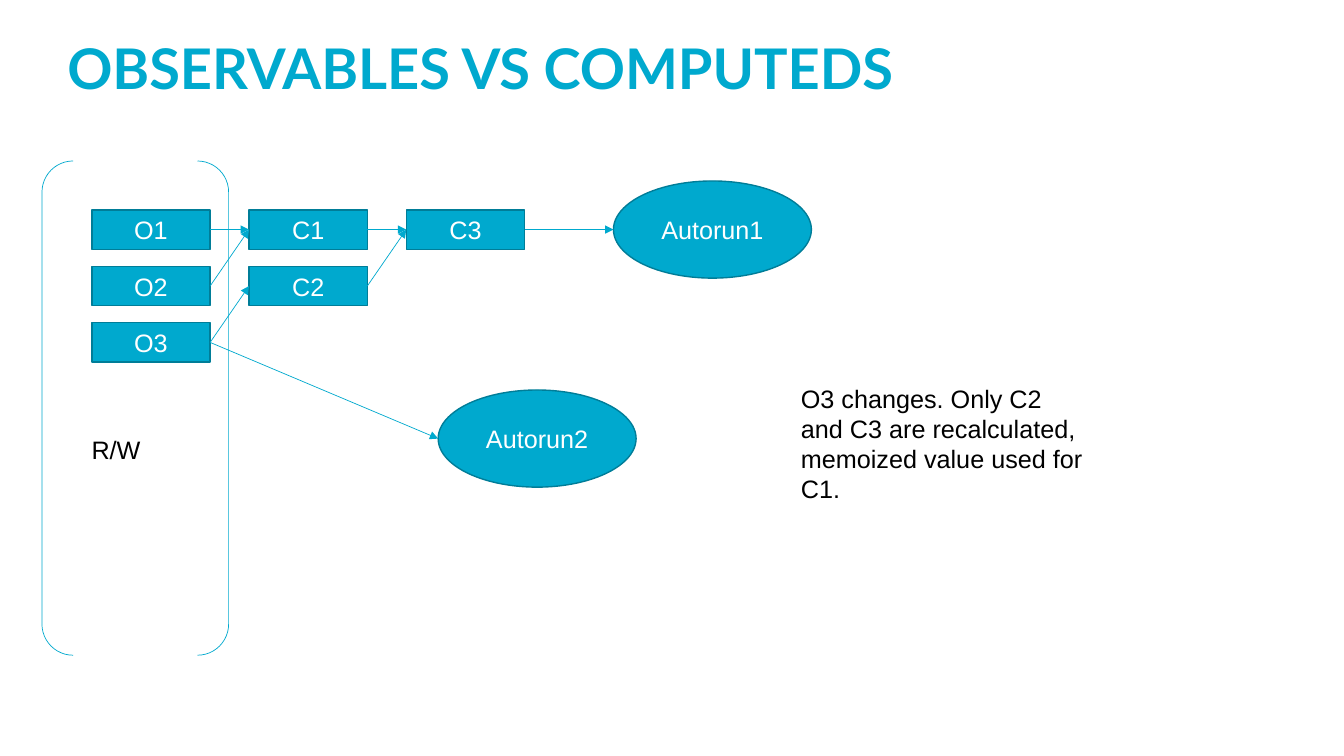
"""Build the slide comparing observables with computeds."""
from lxml import etree
from pptx import Presentation
from pptx.dml.color import RGBColor
from pptx.enum import shapes, text
from pptx.oxml import ns
from pptx.util import Pt

COLORS = {"accent": "00A9CE", "border": "007D98", "white": "FFFFFF", "black": "000000"}
NODE_W, NODE_H = 84.5, 28.2
COL_X, COL_STEP = 65.6, 112.3
ROW_Y, ROW_STEP = 149.9, 40.3
OVAL_W, OVAL_H = 141.4, 69.4
NODES = {"O1": (0, 0), "O2": (0, 1), "O3": (0, 2),
         "C3": (2, 0), "C1": (1, 0), "C2": (1, 1)}
OVALS = {"Autorun1": (438.2, 129.3), "Autorun2": (313, 278.6)}
LINKS = [("O1", "C1"), ("O2", "C1"), ("O3", "C2"), ("C1", "C3"),
         ("C2", "C3"), ("O3", "Autorun2"), ("C3", "Autorun1")]


def rgb(name):
    return RGBColor.from_string(COLORS[name])


def write(tf, content, color, size=18, font="Arial", bold=False):
    p = tf.paragraphs[0]
    p.text = content
    p.font.size = Pt(size)
    p.font.name = font
    p.font.bold = bold
    p.font.color.rgb = rgb(color)
    return p


def add_label(s, content, x, y, w, h, color="black", wrap=True, **style):
    tf = s.shapes.add_textbox(Pt(x), Pt(y), Pt(w), Pt(h)).text_frame
    tf.word_wrap = wrap
    return write(tf, content, color, **style)


def add_node(s, kind, content, x, y, w, h):
    sp = s.shapes.add_shape(kind, Pt(x), Pt(y), Pt(w), Pt(h))
    sp.shadow.inherit = False
    sp.fill.solid()
    sp.fill.fore_color.rgb = rgb("accent")
    sp.line.color.rgb = rgb("border")
    sp.line.width = Pt(1)
    sp.text_frame.vertical_anchor = text.MSO_ANCHOR.MIDDLE
    write(sp.text_frame, content, "white").alignment = text.PP_ALIGN.CENTER
    return sp


def add_arrow(s, source, target):
    c = s.shapes.add_connector(
        shapes.MSO_CONNECTOR.STRAIGHT,
        source.left + source.width, source.top + source.height // 2,
        target.left, target.top + target.height // 2)
    c.begin_connect(source, 3)
    if target.auto_shape_type == shapes.MSO_SHAPE.RECTANGLE:
        c.end_connect(target, 1)
    c.line.color.rgb = rgb("accent")
    c.line.width = Pt(0.5)
    etree.SubElement(c.line._get_or_add_ln(), ns.qn("a:tailEnd"), type="triangle")
    etree.SubElement(c._element.spPr, ns.qn("a:effectLst"))


def add_brackets(s, x, y, w, h):
    sp = s.shapes.add_shape(shapes.MSO_SHAPE.DOUBLE_BRACKET, Pt(x), Pt(y), Pt(w), Pt(h))
    sp.shadow.inherit = False
    sp.fill.background()
    sp.line.color.rgb = rgb("accent")
    sp.line.width = Pt(0.5)


def main():
    prs = Presentation()
    prs.slide_width, prs.slide_height = Pt(960), Pt(540)
    s = prs.slides.add_slide(prs.slide_layouts[6])

    title = add_label(s, "OBSERVABLES VS COMPUTEDS", 41, 25.9, 861, 42.5,
                      color="accent", size=40, font="Lato", bold=True)
    title.line_spacing = 0.9

    nodes = {}
    for name, (col, row) in NODES.items():
        nodes[name] = add_node(s, shapes.MSO_SHAPE.RECTANGLE, name,
                               COL_X + col * COL_STEP, ROW_Y + row * ROW_STEP,
                               NODE_W, NODE_H)
    for name, (x, y) in OVALS.items():
        nodes[name] = add_node(s, shapes.MSO_SHAPE.OVAL, name, x, y, OVAL_W, OVAL_H)
    for source, target in LINKS:
        add_arrow(s, nodes[source], nodes[target])

    add_label(s, "O3 changes. Only C2 and C3 are recalculated, "
                 "memoized value used for C1.", 565, 270, 218, 94.3)
    add_brackets(s, 30, 115, 133.3, 353)
    add_label(s, "R/W", 58.3, 306.7, 49.7, 29, wrap=False)
    prs.save("out.pptx")


if __name__ == "__main__":
    main()
